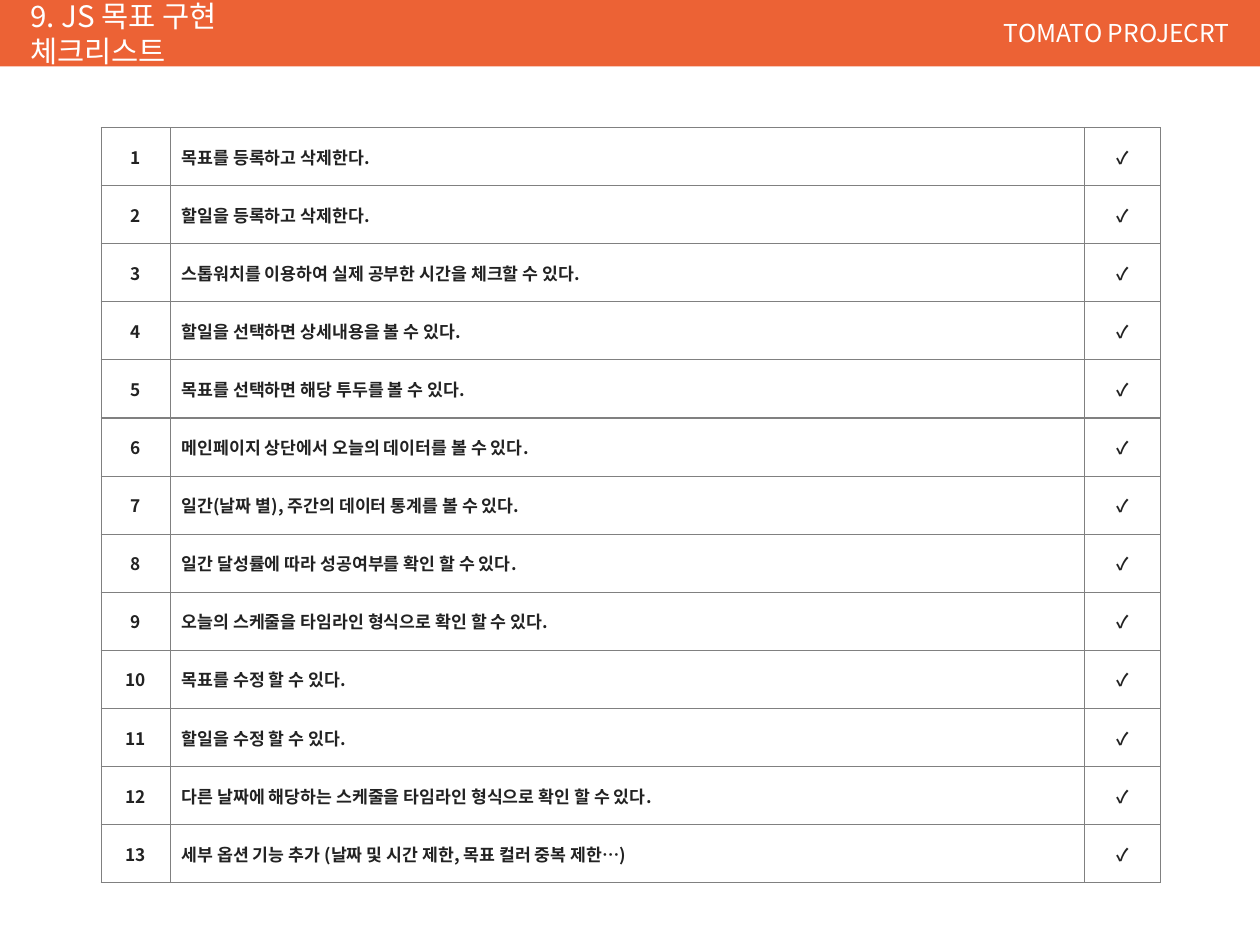
from lxml import etree
from pptx import Presentation
from pptx.dml.color import RGBColor
from pptx.enum.shapes import MSO_SHAPE
from pptx.enum.text import MSO_ANCHOR, MSO_AUTO_SIZE, PP_ALIGN
from pptx.oxml.ns import qn
from pptx.util import Inches, Pt

RECTANGLE = MSO_SHAPE.RECTANGLE
MIDDLE = MSO_ANCHOR.MIDDLE
NO_AUTOSIZE = MSO_AUTO_SIZE.NONE
LEFT, CENTER, RIGHT = PP_ALIGN.LEFT, PP_ALIGN.CENTER, PP_ALIGN.RIGHT

FONT = "Noto Sans CJK KR"
ORANGE, WHITE, INK, GRAY = "EC6235", "FFFFFF", "222222", "808080"
SLIDE_WIDTH, SLIDE_HEIGHT = 14.22, 10.67
COLUMN_WIDTHS = (0.78, 10.32, 0.86)
CHECK = "✓"
GOALS = (
    "목표를 등록하고 삭제한다.",
    "할일을 등록하고 삭제한다.",
    "스톱워치를 이용하여 실제 공부한 시간을 체크할 수 있다.",
    "할일을 선택하면 상세내용을 볼 수 있다.",
    "목표를 선택하면 해당 투두를 볼 수 있다.",
    "메인페이지 상단에서 오늘의 데이터를 볼 수 있다.",
    "일간(날짜 별), 주간의 데이터 통계를 볼 수 있다.",
    "일간 달성률에 따라 성공여부를 확인 할 수 있다.",
    "오늘의 스케줄을 타임라인 형식으로 확인 할 수 있다.",
    "목표를 수정 할 수 있다.",
    "할일을 수정 할 수 있다.",
    "다른 날짜에 해당하는 스케줄을 타임라인 형식으로 확인 할 수 있다.",
    "세부 옵션 기능 추가 (날짜 및 시간 제한, 목표 컬러 중복 제한…)",
)


def color(value):
    return RGBColor.from_string(value)


def write(text_frame, text, size, text_color, alignment, bold=False):
    text_frame.text = text
    paragraph = text_frame.paragraphs[0]
    paragraph.alignment = alignment
    for run in paragraph.runs:
        font = run.font
        font.name, font.size, font.bold = FONT, Pt(size), bold
        font.color.rgb = color(text_color)
        east_asian = etree.Element(qn("a:ea"), typeface=FONT)
        font._element.find(qn("a:latin")).addnext(east_asian)


def set_margins(target, margin):
    """Give a text frame or a table cell the same inset on every side."""
    target.margin_left = target.margin_right = Inches(margin)
    target.margin_top = target.margin_bottom = Inches(margin)
    target.vertical_anchor = MIDDLE


def write_header_text(shape, text, size, alignment, wrap):
    text_frame = shape.text_frame
    write(text_frame, text, size, WHITE, alignment)
    set_margins(text_frame, 0.06)
    text_frame.word_wrap = wrap
    text_frame.auto_size = NO_AUTOSIZE


def add_header(slide, left, top, width, height):
    band = slide.shapes.add_shape(
        RECTANGLE, Inches(left), Inches(top), Inches(width), Inches(height))
    band.shadow.inherit = False
    band.fill.solid()
    band.fill.fore_color.rgb = color(ORANGE)
    band.line.fill.background()

    title = slide.shapes.title
    title.element.addprevious(band.element)
    title.left, title.top = Inches(left + 0.28), Inches(top + 0.14)
    title.width, title.height = Inches(3.7), Inches(0.47)
    write_header_text(title, "9. JS 목표 구현 체크리스트", 24, LEFT, True)

    project = slide.shapes.add_textbox(
        Inches(left + width - 2.94), Inches(top + 0.16), Inches(2.66), Inches(0.42))
    write_header_text(project, "TOMATO PROJECRT", 20, RIGHT, False)


def set_borders(cell, line_color, points):
    properties = cell._tc.get_or_add_tcPr()
    for index, side in enumerate(("lnL", "lnR", "lnT", "lnB")):
        line = etree.Element(qn(f"a:{side}"), w=str(Pt(points)))
        fill = etree.SubElement(line, qn("a:solidFill"))
        etree.SubElement(fill, qn("a:srgbClr"), val=line_color)
        properties.insert(index, line)


def add_checklist(slide, left, top, width, height):
    table = slide.shapes.add_table(
        len(GOALS), len(COLUMN_WIDTHS),
        Inches(left), Inches(top), Inches(width), Inches(height)).table
    table.first_row = table.horz_banding = False
    for column, column_width in zip(table.columns, COLUMN_WIDTHS):
        column.width = Inches(column_width)
    for row_index, goal in enumerate(GOALS):
        table.rows[row_index].height = Inches(height / len(GOALS))
        texts = (str(row_index + 1), goal, CHECK)
        for column_index, text in enumerate(texts):
            is_goal = column_index == 1
            cell = table.cell(row_index, column_index)
            write(cell.text_frame, text, 14, INK, LEFT if is_goal else CENTER, True)
            set_margins(cell, 0.05)
            if is_goal:
                cell.margin_left = Inches(0.13)
            cell.fill.solid()
            cell.fill.fore_color.rgb = color(WHITE)
            set_borders(cell, GRAY, 1)


def main():
    presentation = Presentation()
    presentation.slide_width = Inches(SLIDE_WIDTH)
    presentation.slide_height = Inches(SLIDE_HEIGHT)
    slide = presentation.slides.add_slide(
        presentation.slide_layouts.get_by_name("Title Only"))
    add_header(slide, 0, 0, SLIDE_WIDTH, 0.75)
    add_checklist(slide, 1.14, 1.44, sum(COLUMN_WIDTHS), 8.53)
    presentation.save("out.pptx")


if __name__ == "__main__":
    main()
